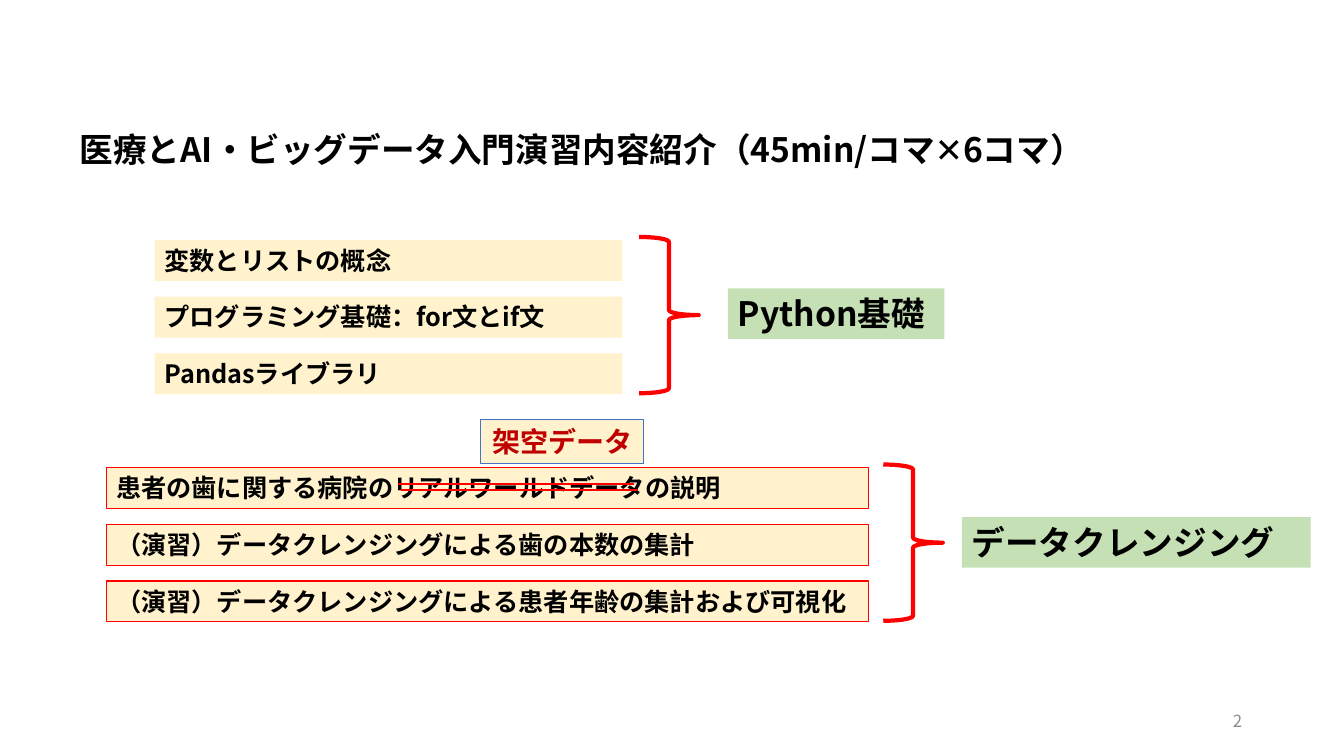
from lxml.etree import SubElement
from pptx import Presentation
from pptx.dml.color import RGBColor
from pptx.enum.shapes import MSO_CONNECTOR, MSO_SHAPE
from pptx.enum.text import MSO_ANCHOR, MSO_AUTO_SIZE, PP_ALIGN
from pptx.oxml.ns import qn
from pptx.util import Inches, Pt

FONT = "Noto Sans CJK JP"
CREAM, GREEN, RED, BLUE = "FFF2CC", "C5E0B4", "FF0000", "4472C4"
ROW_STEP, ROW_HEIGHT = 7.5, 5.4


def color(value):
    return RGBColor.from_string(value)


class LessonPage:
    """Draws styled elements on one slide, placed in percent of its size."""

    def __init__(self, deck):
        self.width, self.height = deck.slide_width, deck.slide_height
        self.shapes = deck.slides.add_slide(deck.slide_layouts[6]).shapes

    def place(self, x, y, *size):
        values = (x, y, *size)
        totals = (self.width, self.height) * 2
        return [int(total * value / 100) for value, total in zip(values, totals)]

    def outline(self, shape, line, weight):
        if line:
            shape.line.color.rgb = color(line)
            shape.line.width = Pt(weight)
        else:
            shape.line.fill.background()

    def fill_text(self, shape, text, size, ink="000000", bold=True,
                  align=PP_ALIGN.LEFT, anchor=MSO_ANCHOR.TOP,
                  fit=MSO_AUTO_SIZE.SHAPE_TO_FIT_TEXT):
        frame = shape.text_frame
        for name, value in {"word_wrap": True, "auto_size": fit, "vertical_anchor": anchor}.items():
            setattr(frame, name, value)
        para = frame.paragraphs[0]
        para.alignment = align
        span = para.add_run()
        span.text = text
        span.font.color.rgb = color(ink)
        for name, value in {"size": Pt(size), "name": FONT, "bold": bold}.items():
            setattr(span.font, name, value)
        SubElement(span.font._element, qn("a:ea")).set("typeface", FONT)

    def text(self, area, text, size, **style):
        self.fill_text(self.shapes.add_textbox(*self.place(*area)), text, size, **style)

    def box(self, area, text, size, fill, line=None, **style):
        box = self.shapes.add_shape(MSO_SHAPE.RECTANGLE, *self.place(*area))
        box.shadow.inherit = False
        box.fill.solid()
        box.fill.fore_color.rgb = color(fill)
        self.outline(box, line, 0.75)
        self.fill_text(box, text, size, **style)

    def brace(self, area):
        brace = self.shapes.add_shape(MSO_SHAPE.RIGHT_BRACE, *self.place(*area))
        brace.shadow.inherit = False
        brace.fill.background()
        self.outline(brace, RED, 3)

    def strike(self, left, right, y):
        ends = self.place(left, y, right, y)
        strike = self.shapes.add_connector(MSO_CONNECTOR.STRAIGHT, *ends)
        self.outline(strike, RED, 1.5)
        SubElement(strike._element.spPr, qn("a:effectLst"))

    def topic(self, left, top, width, lessons, line, brace_left, label_area, label):
        for index, lesson in enumerate(lessons):
            area = (left, top + index * ROW_STEP, width, ROW_HEIGHT)
            self.box(area, lesson, 18, CREAM, line)
        self.brace((brace_left, top - 0.4, 4.43, 20.67))
        self.box(label_area, label, 24, GREEN)


def main():
    deck = Presentation()
    deck.slide_width, deck.slide_height = Inches(13.33), Inches(7.5)
    page = LessonPage(deck)
    page.text((5.18, 16.4, 77.42, 6.67), "医療とAI・ビッグデータ入門演習内容紹介（45min/コマ✕6コマ）", 24)
    page.topic(11.5, 31.75, 34.8,
               ["変数とリストの概念", "プログラミング基礎：for文とif文", "Pandasライブラリ"],
               None, 47.56, (54.16, 38.15, 16.1, 6.7), "Python基礎")
    page.topic(7.9, 61.85, 56.7,
               ["患者の歯に関する病院のリアルワールドデータの説明",
                "（演習）データクレンジングによる歯の本数の集計",
                "（演習）データクレンジングによる患者年齢の集計および可視化"],
               RED, 65.72, (71.57, 68.4, 25.96, 6.7), "データクレンジング")
    page.text((70.67, 92.67, 22.5, 5.33), "2", 12, ink="8C8C8C", bold=False,
              align=PP_ALIGN.RIGHT, anchor=MSO_ANCHOR.MIDDLE, fit=MSO_AUTO_SIZE.NONE)
    page.box((35.78, 55.5, 12.1, 5.85), "架空データ", 20, CREAM, BLUE,
             ink="C00000", align=PP_ALIGN.CENTER)
    page.strike(29.63, 47.2, 64)
    page.strike(29.86, 47.5, 64.8)
    deck.save("out.pptx")


if __name__ == "__main__":
    main()
